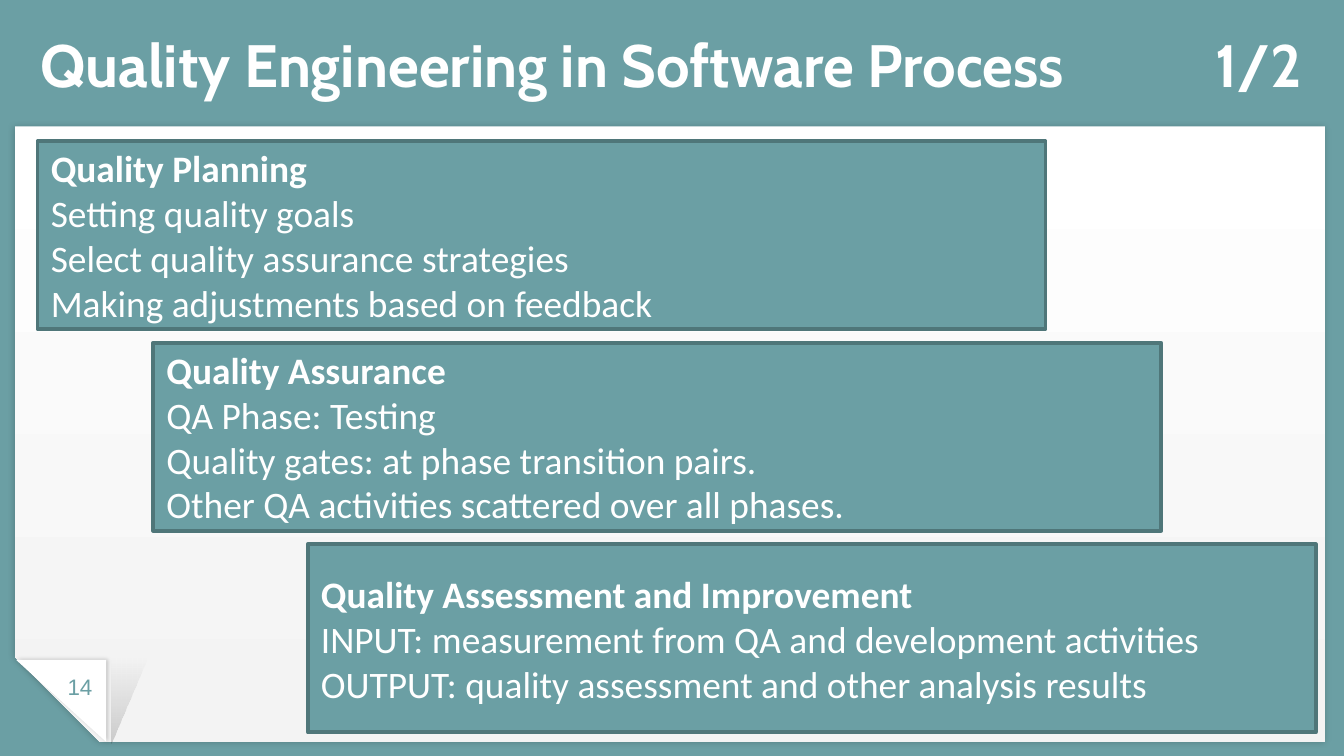
from lxml import etree
from pptx import Presentation
from pptx.dml.color import RGBColor
from pptx.enum.shapes import MSO_SHAPE as Shape
from pptx.enum.text import MSO_ANCHOR as Anchor, PP_ALIGN as Align
from pptx.oxml import parse_xml
from pptx.oxml.ns import nsdecls, qn
from pptx.util import Inches, Pt

TEAL = RGBColor(0x6B, 0x9F, 0xA4)
EDGE = RGBColor(0x4F, 0x76, 0x79)
WHITE = RGBColor(0xFF, 0xFF, 0xFF)
PALE = RGBColor(0xF3, 0xF3, 0xF3)
BLACK = RGBColor(0, 0, 0)

CARDS = [
    (0.28, ["Quality Planning", "Setting quality goals",
            "Select quality assurance strategies",
            "Making adjustments based on feedback"]),
    (1.14, ["Quality Assurance", "QA Phase: Testing",
            "Quality gates: at phase transition pairs.",
            "Other QA activities scattered over all phases."]),
    (2.29, ["Quality Assessment and Improvement",
            "INPUT: measurement from QA and development activities",
            "OUTPUT: quality assessment and other analysis results"]),
]


def write(frame, lines, font, size, color, bold=False, head=False,
          align=Align.LEFT, anchor=Anchor.TOP, inset=None):
    """Fill a text frame, one paragraph a line; head makes the first bold."""
    frame.word_wrap = True
    frame.vertical_anchor = anchor
    if inset is not None:
        frame.margin_left = frame.margin_right = Inches(inset)
        frame.margin_top = frame.margin_bottom = Inches(inset)
    for i, line in enumerate(lines):
        para = frame.paragraphs[0] if i == 0 else frame.add_paragraph()
        para.alignment = align
        run = para.add_run()
        run.text = line
        run.font.name = font
        run.font.size = Pt(size)
        run.font.bold = bold or (head and i == 0)
        run.font.color.rgb = color


def add_box(slide, kind, box, fill=None, turn=0):
    shape = slide.shapes.add_shape(kind, *map(Inches, box))
    shape.rotation = turn
    shape.shadow.inherit = False
    shape.line.fill.background()
    if fill is not None:
        shape.fill.solid()
        shape.fill.fore_color.rgb = fill
    return shape


def add_blend(shape, stops, angle):
    """Give a gradient fill; stops are (position %, colour, opacity %)."""
    marks = "".join(
        f'<a:gs pos="{pos * 1000}"><a:srgbClr val="{color}">'
        f'<a:alpha val="{alpha * 1000}"/></a:srgbClr></a:gs>'
        for pos, color, alpha in stops)
    fill = parse_xml(
        f'<a:gradFill {nsdecls("a")} rotWithShape="1"><a:gsLst>{marks}</a:gsLst>'
        f'<a:lin ang="{angle * 60000}" scaled="0"/></a:gradFill>')
    shape._element.spPr.find(qn("a:prstGeom")).addnext(fill)


def add_shade(shape, blur, angle):
    effect = shape._element.spPr.find(qn("a:effectLst"))
    shade = etree.SubElement(
        effect, qn("a:outerShdw"), blurRad=str(Pt(blur)), dist=str(Pt(0.8)),
        dir=str(angle * 60000), algn="ctr", rotWithShape="0")
    color = etree.SubElement(shade, qn("a:srgbClr"), val=str(BLACK))
    etree.SubElement(color, qn("a:alpha"), val="20000")


def draw_page(slide, left, top, width, height):
    """Draw the sheet with its folded corner and page number."""
    sheet = add_box(slide, Shape.SNIP_1_RECTANGLE,
                    (left, top, width, height), turn=180)
    sheet.adjustments[0] = 0.138
    add_blend(sheet, [(0, WHITE, 100), (100, PALE, 100)], 270)
    add_shade(sheet, 3.4, 90)

    base = top + height
    fold = add_box(slide, Shape.RIGHT_TRIANGLE,
                   (left + 0.01, base - 0.61, 0.67, 0.61), WHITE, 180)
    add_shade(fold, 2.2, 0)

    cast = add_box(slide, Shape.RIGHT_TRIANGLE,
                   (left + 0.72, base - 0.63, 0.27, 0.64), turn=180)
    cast._element.spPr.find(qn("a:xfrm")).set("flipH", "1")
    add_blend(cast, [(0, BLACK, 17), (100, BLACK, 0)], 90)

    label = slide.shapes.add_textbox(
        *map(Inches, (left + 0.23, base - 0.61, 0.51, 0.34)))
    write(label.text_frame, ["14"], "Arial", 12, TEAL,
          align=Align.CENTER, inset=0.1)


def draw_title(slide, left, top, width, height):
    title = slide.shapes.add_textbox(*map(Inches, (left, top, width, height)))
    frame = title.text_frame
    write(frame, ["Quality Engineering in Software Process\t1/2"], "Cabin", 32,
          WHITE, bold=True, anchor=Anchor.BOTTOM, inset=0)
    props = frame.paragraphs[0]._p.get_or_add_pPr()
    tabs = etree.SubElement(props, qn("a:tabLst"))
    etree.SubElement(tabs, qn("a:tab"), pos=str(Inches(width - 0.1)), algn="r")


def draw_card(slide, left, top, width, height, lines):
    card = add_box(slide, Shape.RECTANGLE, (left, top, width, height), TEAL)
    card.line.color.rgb = EDGE
    card.line.width = Pt(2)
    write(card.text_frame, lines, "Calibri", 20, WHITE,
          head=True, anchor=Anchor.MIDDLE)


def main():
    deck = Presentation()
    deck.slide_width = Inches(10)
    deck.slide_height = deck.slide_width * 9 // 16
    slide = deck.slides.add_slide(deck.slide_layouts[6])
    slide.background.fill.solid()
    slide.background.fill.fore_color.rgb = TEAL
    draw_page(slide, 0.11, 0.94, 9.75, 4.58)
    draw_title(slide, 0.3, 0.17, 9.49, 0.57)
    for row, (left, lines) in enumerate(CARDS):
        draw_card(slide, left, 1.05 + 1.5 * row, 7.5, 1.4, lines)
    deck.save("out.pptx")


if __name__ == "__main__":
    main()
